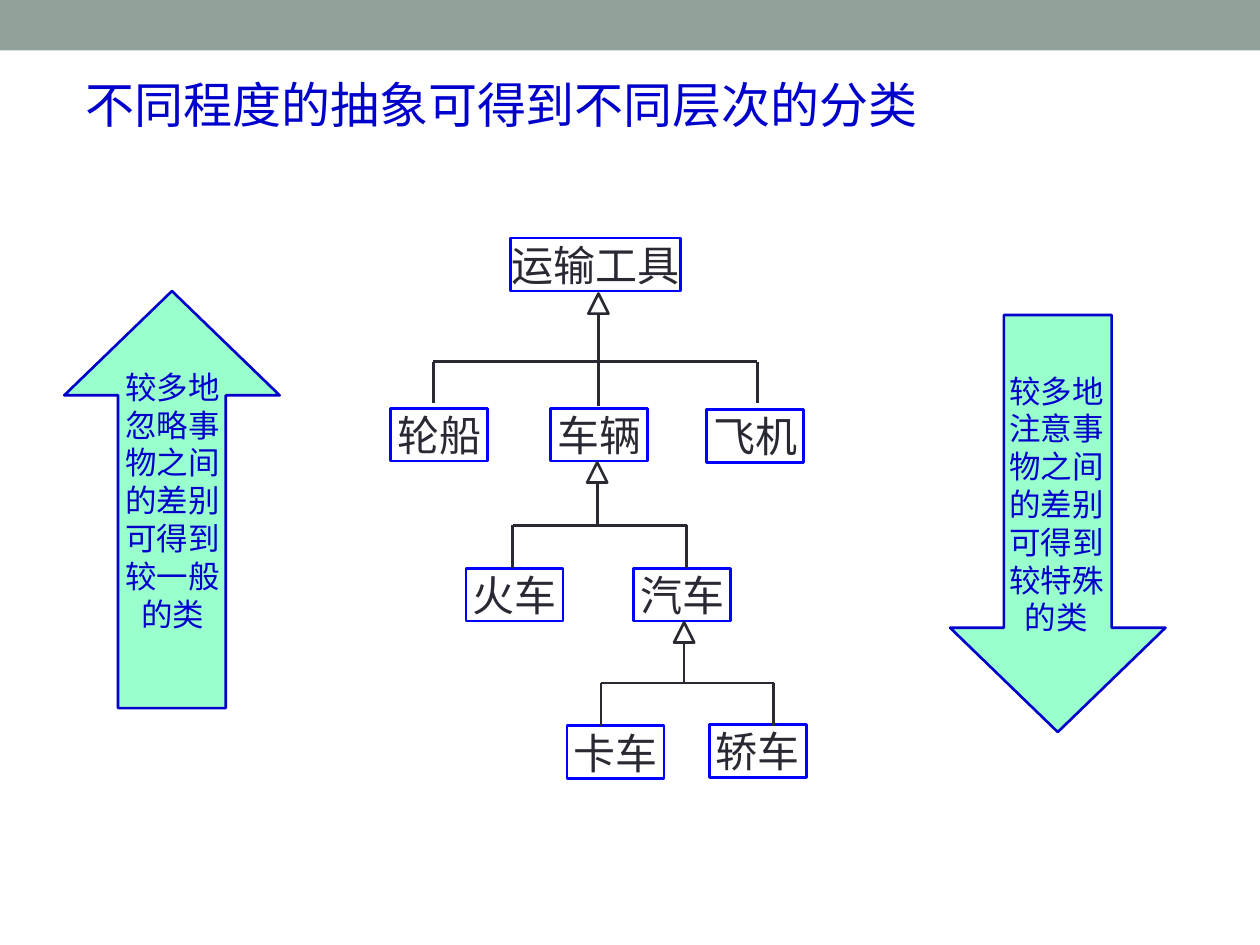
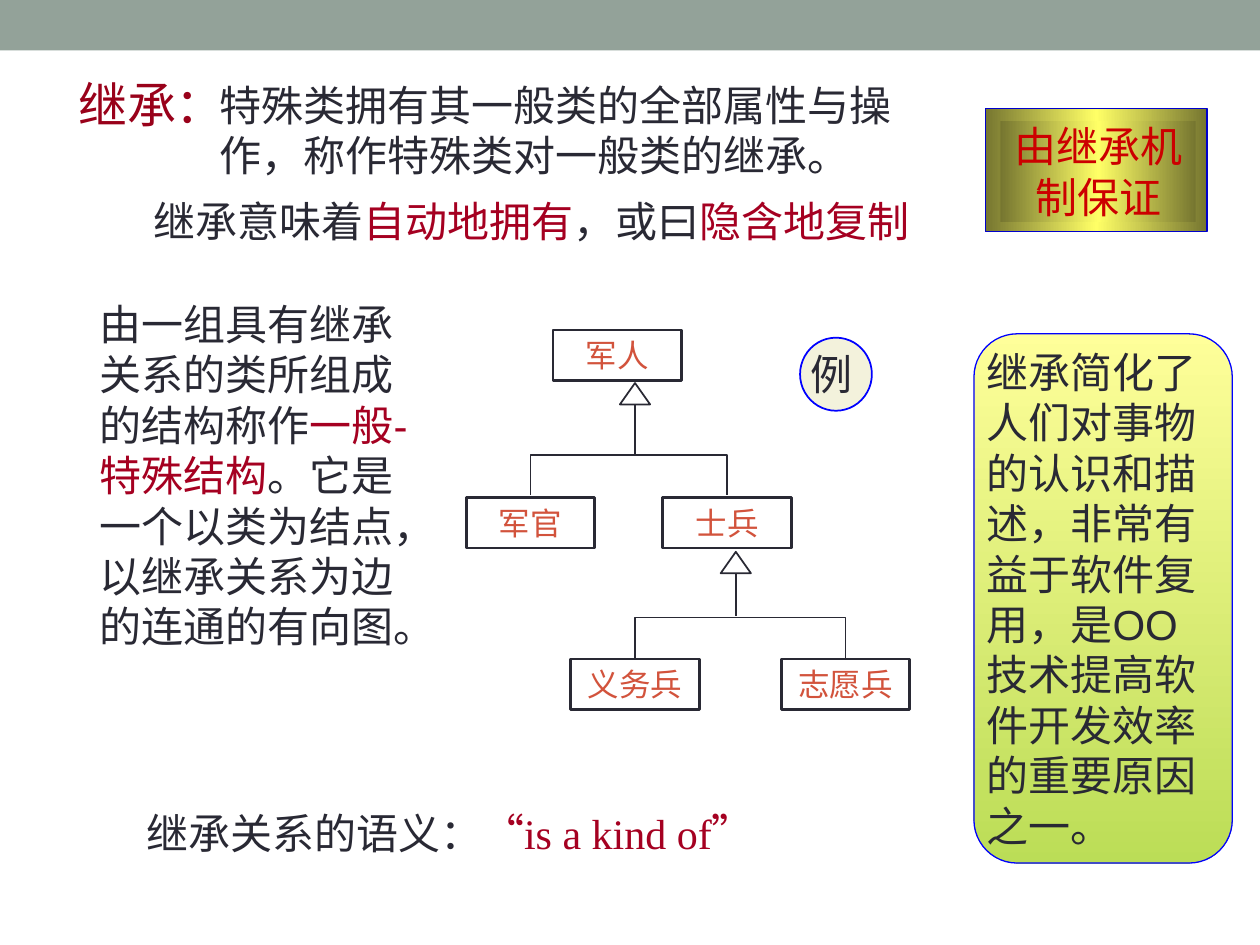
from lxml.etree import SubElement
from pptx import Presentation
from pptx.dml.color import RGBColor
from pptx.enum.lang import MSO_LANGUAGE_ID as Lang
from pptx.enum.shapes import MSO_CONNECTOR as Connector, MSO_SHAPE as Preset
from pptx.enum.text import MSO_ANCHOR as Anchor, PP_ALIGN as Align
from pptx.oxml.ns import qn
from pptx.util import Inches, Pt

INK, BLUE, EDGE, CRIMSON = "292934", "0000CC", "0000FF", "A50021"
BAND, MINT, WHITE, CREAM = "93A299", "99FFCC", "FFFFFF", "F3F2DC"
HEADING, BUTTON_RED, SOLDIER_RED = "99011A", "CC0000", "D2533C"
GOLD = [(0, "767630"), (50, "FFFF66"), (100, "767630")]
LIME = [(0, "FFFF66"), (100, "99CC00")]
SERIF, SANS = "Times New Roman", "Arial"


def rgb(value):
    """Turn a hex string into a colour."""
    return RGBColor.from_string(value)


class Deck:
    """Holds the style and the current slide."""

    def __init__(self):
        self.presentation = Presentation()
        self.presentation.slide_width = Inches(10)
        self.presentation.slide_height = Inches(7.5)

    def new_slide(self):
        """Start a blank slide with the top band."""
        layout = self.presentation.slide_layouts[6]
        self.shapes = self.presentation.slides.add_slide(layout).shapes
        self.shape(Preset.RECTANGLE, (0, 0, 10, 0.4), fill=BAND)

    def paint(self, shape, fill, line, width):
        """Set fill and outline, and drop the shadow."""
        shape.shadow.inherit = False
        if fill:
            shape.fill.solid()
            shape.fill.fore_color.rgb = rgb(fill)
        else:
            shape.fill.background()
        if line:
            shape.line.color.rgb = rgb(line)
            shape.line.width = Pt(width)
        else:
            shape.line.fill.background()

    def shape(self, preset, box, fill=None, line=None, width=1.5, adjust=()):
        """Add a preset shape."""
        shape = self.shapes.add_shape(preset, *map(Inches, box))
        for index, value in enumerate(adjust):
            shape.adjustments[index] = value
        self.paint(shape, fill, line, width)
        return shape

    def gradient(self, shape, stops, angle=0, alpha=100):
        """Fill a shape with a linear gradient, its angle clockwise."""
        shape.fill.gradient()
        shape.fill.gradient_angle = -angle % 360
        stop_list = next(shape._element.iter(qn("a:gsLst")))
        stop_list.clear()
        for position, value in stops:
            stop = SubElement(stop_list, qn("a:gs"), pos=str(position * 1000))
            colour = SubElement(stop, qn("a:srgbClr"), val=value)
            if alpha < 100:
                SubElement(colour, qn("a:alpha"), val=str(alpha * 1000))

    def label(self, shape, runs, size=24, font=SERIF, align=Align.LEFT,
              anchor=Anchor.TOP, wrap=True):
        """Put one paragraph of (text, colour) runs into a shape."""
        frame = shape.text_frame
        frame.margin_left = frame.margin_right = 0
        frame.margin_top = frame.margin_bottom = 0
        frame.word_wrap = wrap
        frame.vertical_anchor = anchor
        paragraph = frame.paragraphs[0]
        paragraph.alignment = align
        paragraph.font.size = Pt(size)
        paragraph.font.name = font
        for words, colour in runs:
            run = paragraph.add_run()
            run.text = words
            run.font.color.rgb = rgb(colour)
            run.font.language_id = Lang.SIMPLIFIED_CHINESE

    def text(self, box, *runs, **style):
        """Add a text box."""
        self.label(self.shapes.add_textbox(*map(Inches, box)), runs, **style)

    def class_box(self, words, box, colour=INK, line=EDGE, fill=None, size=24):
        """Add a box that names a class."""
        shape = self.shape(Preset.RECTANGLE, box, fill, line)
        self.label(shape, [(words, colour)], size, align=Align.CENTER,
                   anchor=Anchor.MIDDLE, wrap=False)

    def line(self, start, end, width=1.5):
        """Add a straight line."""
        connector = self.shapes.add_connector(
            Connector.STRAIGHT, *map(Inches, start + end))
        connector.line.color.rgb = rgb(INK)
        connector.line.width = Pt(width)
        SubElement(connector._element.spPr, qn("a:effectLst"))

    def stem(self, x, top, bottom, head=(0.16, 0.16), fill=None, width=1.5):
        """Add an inheritance triangle with its stem."""
        head_width, head_height = head
        self.line((x, top + head_height), (x, bottom), width)
        self.shape(Preset.ISOSCELES_TRIANGLE,
                   (x - head_width / 2, top, head_width, head_height),
                   fill, INK, width)

    def fork(self, left, right, top, bottom):
        """Add a bar with a drop at each end."""
        self.line((left, top), (right, top))
        for x in (left, right):
            self.line((x, top), (x, bottom))

    def bracket(self, left, right, top, bottom):
        """Add an open outline that joins two subclasses."""
        corners = [(left, bottom), (left, top), (right, top), (right, bottom)]
        points = [(Inches(x), Inches(y)) for x, y in corners]
        builder = self.shapes.build_freeform(*points[0])
        builder.add_line_segments(points[1:], close=False)
        self.paint(builder.convert_to_shape(), None, INK, 1)


def abstraction_levels(deck):
    """Build the slide on levels of classification."""
    deck.new_slide()
    arrows = [
        (Preset.DOWN_ARROW, (7.54, 2.5), (8, 2.95, 0.77, 2.1),
         "较多地注意事物之间的差别可得到较特殊的类"),
        (Preset.UP_ARROW, (0.51, 2.31), (0.93, 2.92, 0.88, 2.1),
         "较多地忽略事物之间的差别可得到较一般的类"),
    ]
    for preset, corner, caption_box, caption in arrows:
        deck.shape(preset, corner + (1.71, 3.31), MINT, BLUE,
                   adjust=(0.5, 0.484))
        deck.text(caption_box, (caption, BLUE), size=18, align=Align.CENTER)
    deck.text((0.68, 0.59, 7.13, 0.47),
              ("不同程度的抽象可得到不同层次的分类", BLUE), size=28)

    deck.class_box("运输工具", (4.05, 1.89, 1.35, 0.42))
    vehicles = [
        ("轮船", 3.1, 3.24), ("车辆", 4.37, 3.24), ("飞机", 5.61, 3.25),
        ("火车", 3.7, 4.51), ("汽车", 5.03, 4.51),
        ("卡车", 4.5, 5.76), ("轿车", 5.63, 5.75),
    ]
    for name, left, top in vehicles:
        deck.class_box(name, (left, top, 0.77, 0.42))
    for x, top, bottom in [(4.75, 2.33, 3.22), (4.74, 3.67, 4.17),
                           (5.43, 4.94, 5.42)]:
        deck.stem(x, top, bottom)
    for left, right, top, bottom in [(3.44, 6.01, 2.87, 3.2),
                                     (4.07, 5.45, 4.17, 4.51),
                                     (4.77, 6.14, 5.42, 5.76)]:
        deck.fork(left, right, top, bottom)


def inheritance(deck):
    """Build the slide that defines inheritance."""
    deck.new_slide()
    deck.text((0.62, 0.59, 1.18, 0.47), ("继承：", HEADING),
              size=28, font=SANS, wrap=False)
    deck.text((1.74, 0.63, 5.45, 0.8),
              ("特殊类拥有其一般类的全部属性与操作，称作特殊类对一般类的继承。", INK),
              font=SANS)
    deck.text((1.22, 1.55, 6.03, 0.4),
              ("继承意味着", INK), ("自动地拥有", CRIMSON),
              ("，或曰", INK), ("隐含地复制", CRIMSON),
              font=SANS, wrap=False)

    benefit = deck.shape(Preset.ROUNDED_RECTANGLE, (7.73, 2.65, 2.05, 4.2),
                         line=EDGE, width=0.75, adjust=(0.167,))
    deck.gradient(benefit, LIME, angle=90, alpha=65)
    deck.label(benefit, [("继承简化了人们对事物的认识和描述，非常有益于软件复用，"
                          "是OO技术提高软件开发效率的重要原因之一。", INK)],
               font=SANS)

    frame = deck.shape(Preset.RECTANGLE, (7.82, 0.86, 1.76, 0.98),
                       line=BLUE, width=0.75)
    guarantee = deck.shape(Preset.RECTANGLE, (7.94, 0.96, 1.55, 0.8))
    for plate in (frame, guarantee):
        deck.gradient(plate, GOLD)
    deck.label(guarantee, [("由继承机制保证", BUTTON_RED)],
               font=SANS, align=Align.CENTER)

    deck.text((0.79, 2.37, 2.45, 3.64),
              ("由一组具有继承关系的类所组成的结构称作", INK),
              ("一般-特殊结构", CRIMSON),
              ("。它是一个以类为结点，以继承关系为边的连通的有向图。", INK),
              font=SANS)
    deck.text((1.16, 6.41, 5.66, 0.4),
              ("继承关系的语义：", INK), ("“is a kind of”", CRIMSON),
              anchor=Anchor.MIDDLE)

    soldiers = [
        ("军人", 4.39, 2.62), ("军官", 3.7, 3.95), ("士兵", 5.26, 3.95),
        ("义务兵", 4.53, 5.23), ("志愿兵", 6.2, 5.23),
    ]
    for name, left, top in soldiers:
        deck.class_box(name, (left, top, 1.02, 0.4), SOLDIER_RED, INK, WHITE, 18)
    deck.bracket(4.21, 5.77, 3.61, 3.93)
    deck.bracket(5.04, 6.71, 4.9, 5.22)
    for x, top, bottom in [(5.04, 3.04, 3.6), (5.84, 4.38, 4.89)]:
        deck.stem(x, top, bottom, head=(0.24, 0.17), fill=WHITE, width=1)

    example = deck.shape(Preset.OVAL, (6.35, 2.68, 0.57, 0.58), CREAM, EDGE, 1)
    deck.label(example, [("例", INK)])


def main():
    """Build and save the deck."""
    deck = Deck()
    abstraction_levels(deck)
    inheritance(deck)
    deck.presentation.save("out.pptx")


if __name__ == "__main__":
    main()
